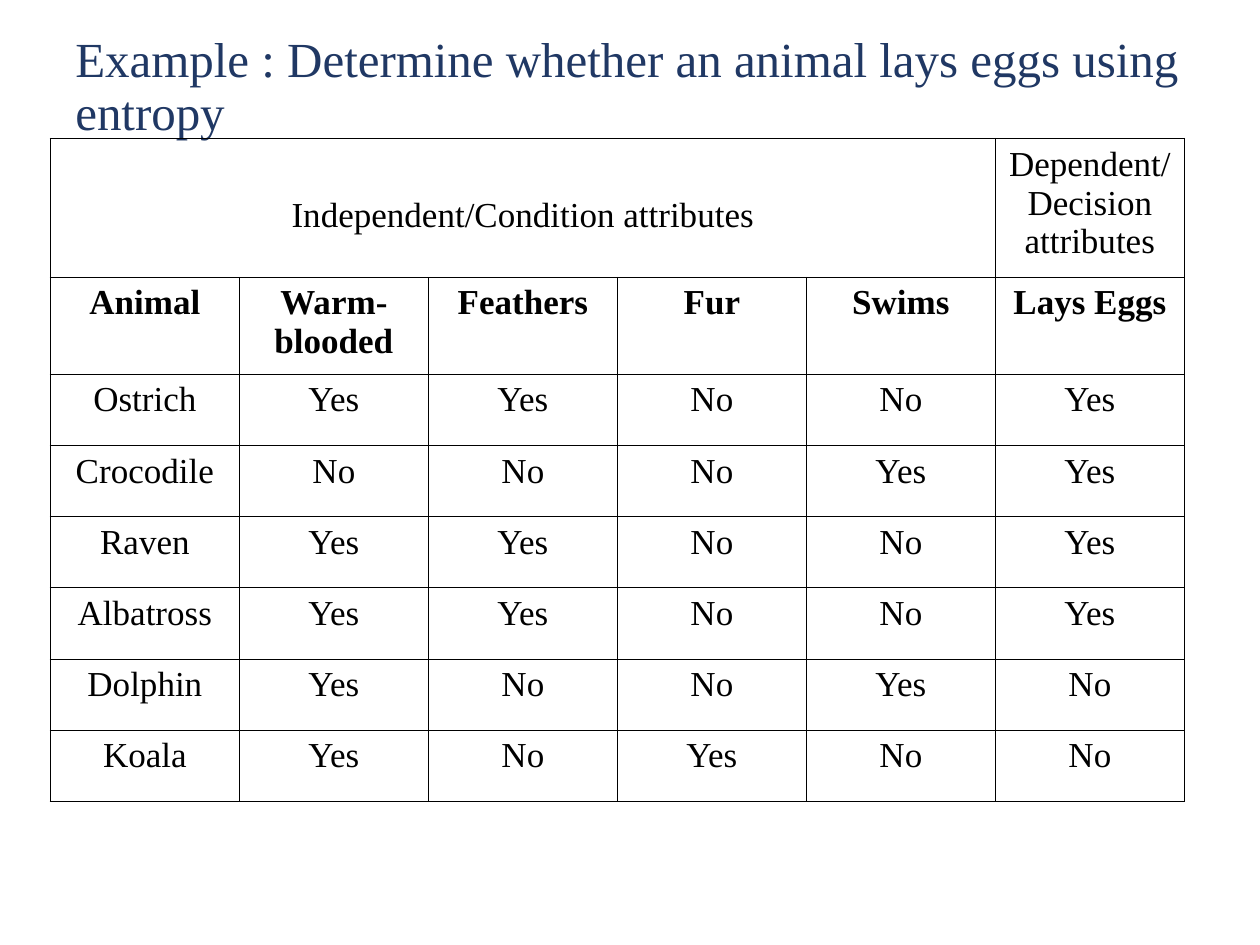
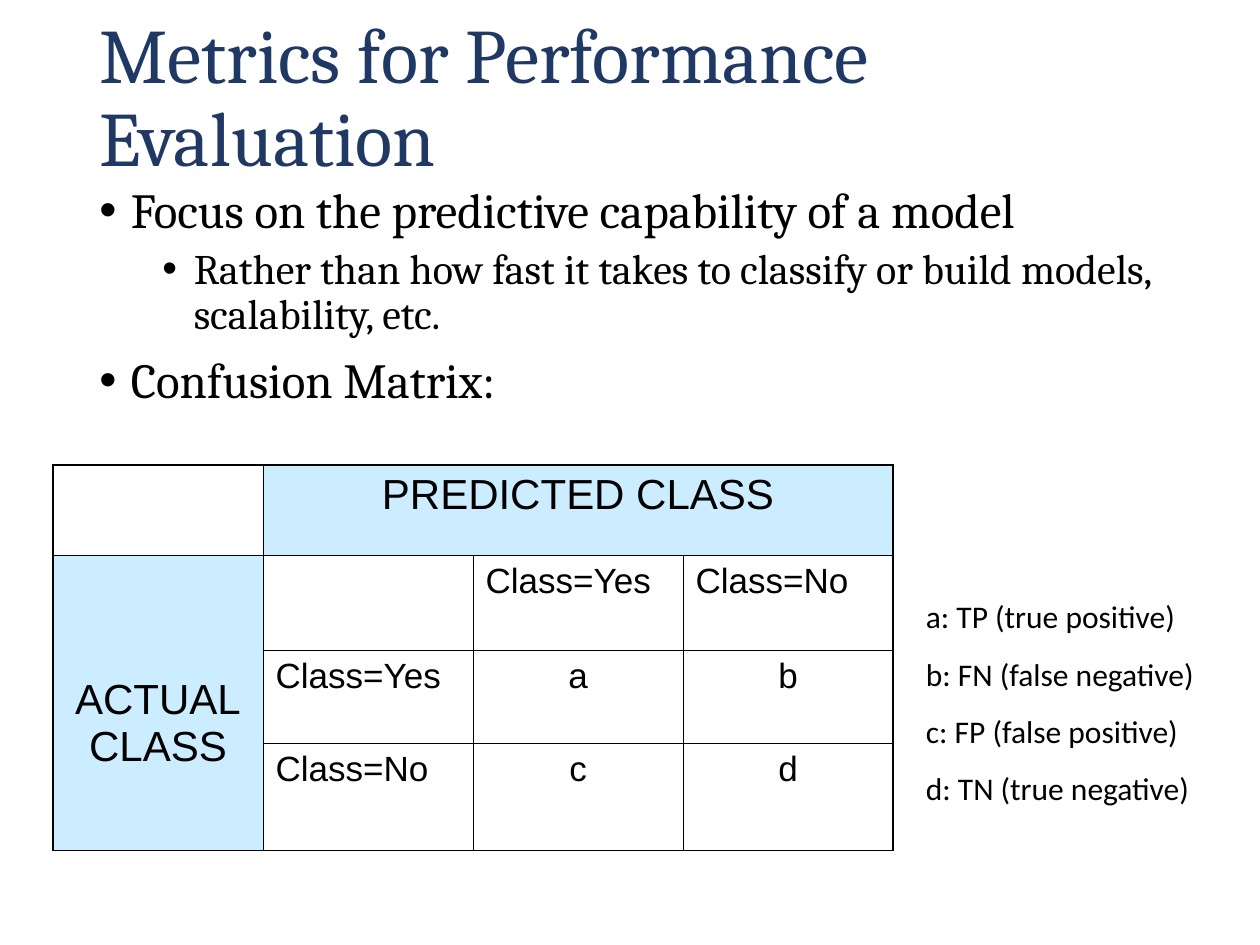
from lxml import etree
from pptx import Presentation
from pptx import util as u
from pptx.dml.color import RGBColor
from pptx.enum import text as t
from pptx.oxml import ns

NAVY = RGBColor(0x20, 0x38, 0x64)
BLACK = RGBColor(0, 0, 0)
PALE_BLUE = RGBColor(0xCC, 0xEC, 0xFF)
CENTER = t.PP_ALIGN.CENTER
LEFT = t.PP_ALIGN.LEFT
THIN, THICK = 0.45, 1.08

ANIMAL_ROWS = [
    ["Independent/Condition attributes", "", "", "", "", "Dependent/Decision attributes"],
    ["Animal", "Warm-blooded", "Feathers", "Fur", "Swims", "Lays Eggs"],
    ["Ostrich", "Yes", "Yes", "No", "No", "Yes"],
    ["Crocodile", "No", "No", "No", "Yes", "Yes"],
    ["Raven", "Yes", "Yes", "No", "No", "Yes"],
    ["Albatross", "Yes", "Yes", "No", "No", "Yes"],
    ["Dolphin", "Yes", "No", "No", "Yes", "No"],
    ["Koala", "Yes", "No", "Yes", "No", "No"],
]
CONFUSION_ROWS = [
    ["", "PREDICTED CLASS", "", ""],
    ["ACTUAL\vCLASS", "", "Class=Yes", "Class=No"],
    ["", "Class=Yes", "a", "b"],
    ["", "Class=No", "c", "d"],
]
FOCUS_POINTS = [
    (0, "Focus on the predictive capability of a model"),
    (1, "Rather than how fast it takes to classify or build models, scalability, etc."),
    (0, "Confusion Matrix:"),
]
OUTCOMES = ["a: TP (true positive)", "b: FN (false negative)",
            "c: FP (false positive)", "d: TN (true negative)"]


def write(para, text, font, size, color=BLACK, bold=False, align=LEFT, spacing=None, before=0):
    para.text = text
    para.alignment = align
    para.space_before = u.Pt(before)
    if spacing:
        para.line_spacing = spacing
    for span in para.runs:
        span.font.name = font
        span.font.size = u.Pt(size)
        span.font.bold = bold
        span.font.color.rgb = color


def add_box(page, left, top, width, height, anchor=t.MSO_ANCHOR.TOP):
    box = page.shapes.add_textbox(*map(u.Inches, (left, top, width, height)))
    box.text_frame.word_wrap = True
    box.text_frame.vertical_anchor = anchor
    return box.text_frame


def add_title(page, text, place, font, size):
    frame = add_box(page, *place, anchor=t.MSO_ANCHOR.MIDDLE)
    write(frame.paragraphs[0], text, font, size, color=NAVY, spacing=0.9)


def next_para(frame, index):
    return frame.add_paragraph() if index else frame.paragraphs[0]


def add_bullets(page, points, place):
    frame = add_box(page, *place)
    for index, (level, text) in enumerate(points):
        para = next_para(frame, index)
        before = (10, 5)[level] if index else 0
        write(para, text, "Cambria", (28, 24)[level], spacing=0.9, before=before)
        para.level = level
        props = para._p.get_or_add_pPr()
        props.set("marL", str(u.Inches(0.25 + 0.5 * level)))
        props.set("indent", str(u.Inches(-0.25)))
        etree.SubElement(props, ns.qn("a:buFont")).set("typeface", "Arial")
        etree.SubElement(props, ns.qn("a:buChar")).set("char", "•")


def add_legend(page, lines, place):
    frame = add_box(page, *place)
    for index, text in enumerate(lines):
        write(next_para(frame, index), text, "Calibri", 18, before=11.2 if index else 0)


def set_borders(cell, outer_sides):
    props = cell._tc.get_or_add_tcPr()
    for index, side in enumerate("LRTB"):
        line = etree.Element(ns.qn("a:ln" + side))
        line.set("w", str(u.Pt(THICK if side in outer_sides else THIN)))
        fill = etree.SubElement(line, ns.qn("a:solidFill"))
        etree.SubElement(fill, ns.qn("a:srgbClr")).set("val", str(BLACK))
        props.insert(index, line)


def add_grid(page, rows, left, top, column_width, heights, merges, style):
    count = len(rows[0])
    frame = page.shapes.add_table(len(rows), count, u.Inches(left), u.Inches(top),
                                  u.Inches(column_width * count), u.Inches(sum(heights)))
    table = frame.table
    table.first_row = table.horz_banding = False
    for column in table.columns:
        column.width = u.Inches(column_width)
    for row, height in zip(table.rows, heights):
        row.height = u.Inches(height)
    for first, last in merges:
        table.cell(*first).merge(table.cell(*last))
    for r, texts in enumerate(rows):
        for c, text in enumerate(texts):
            cell = table.cell(r, c)
            cell.fill.background()
            bottom, right = r, c
            if cell.is_merge_origin:
                bottom += cell.span_height - 1
                right += cell.span_width - 1
            edges = {"L": c == 0, "R": right == count - 1,
                     "T": r == 0, "B": bottom == len(rows) - 1}
            if text:
                write(cell.text_frame.paragraphs[0], text, **style(r, c))
            set_borders(cell, [side for side, outer in edges.items() if outer])
    return table


def animal_style(r, c):
    return dict(font="Times New Roman", size=20, bold=r == 1, align=CENTER)


def confusion_style(r, c):
    heading = r == 0 or c == 0
    centered = heading or (r > 1 and c > 1)
    return dict(font="Arial", size=24 if heading else 20, align=CENTER if centered else LEFT)


def build_animals(page):
    add_title(page, "Example : Determine whether an animal lays eggs using entropy",
              (0.5, 0.25, 9, 0.9), "Times New Roman", 28)
    table = add_grid(page, ANIMAL_ROWS, 0.4, 1.1, 1.5, [1.1, 0.77] + [0.565] * 6,
                     [((0, 0), (0, 4))], animal_style)
    table.cell(0, 0).margin_top = u.Inches(0.46)


def build_metrics(page):
    add_title(page, "Metrics for Performance Evaluation", (0.69, 0.34, 8.63, 0.91), "Cambria", 44)
    add_bullets(page, FOCUS_POINTS, (0.69, 1.43, 8.63, 4.24))
    table = add_grid(page, CONFUSION_ROWS, 0.42, 3.69, 1.667, [0.72, 0.75, 0.74, 0.85],
                     [((0, 1), (0, 3)), ((1, 0), (3, 0))], confusion_style)
    for heading in (table.cell(0, 1), table.cell(1, 0)):
        heading.fill.solid()
        heading.fill.fore_color.rgb = PALE_BLUE
    table.cell(1, 0).margin_top = u.Inches(0.96)
    add_legend(page, OUTCOMES, (7.25, 4.69, 2.42, 1.77))


def main():
    deck = Presentation()
    deck.slide_width, deck.slide_height = u.Inches(10), u.Inches(7.5)
    for build in (build_animals, build_metrics):
        build(deck.slides.add_slide(deck.slide_layouts[6]))
    deck.save("out.pptx")


if __name__ == "__main__":
    main()
